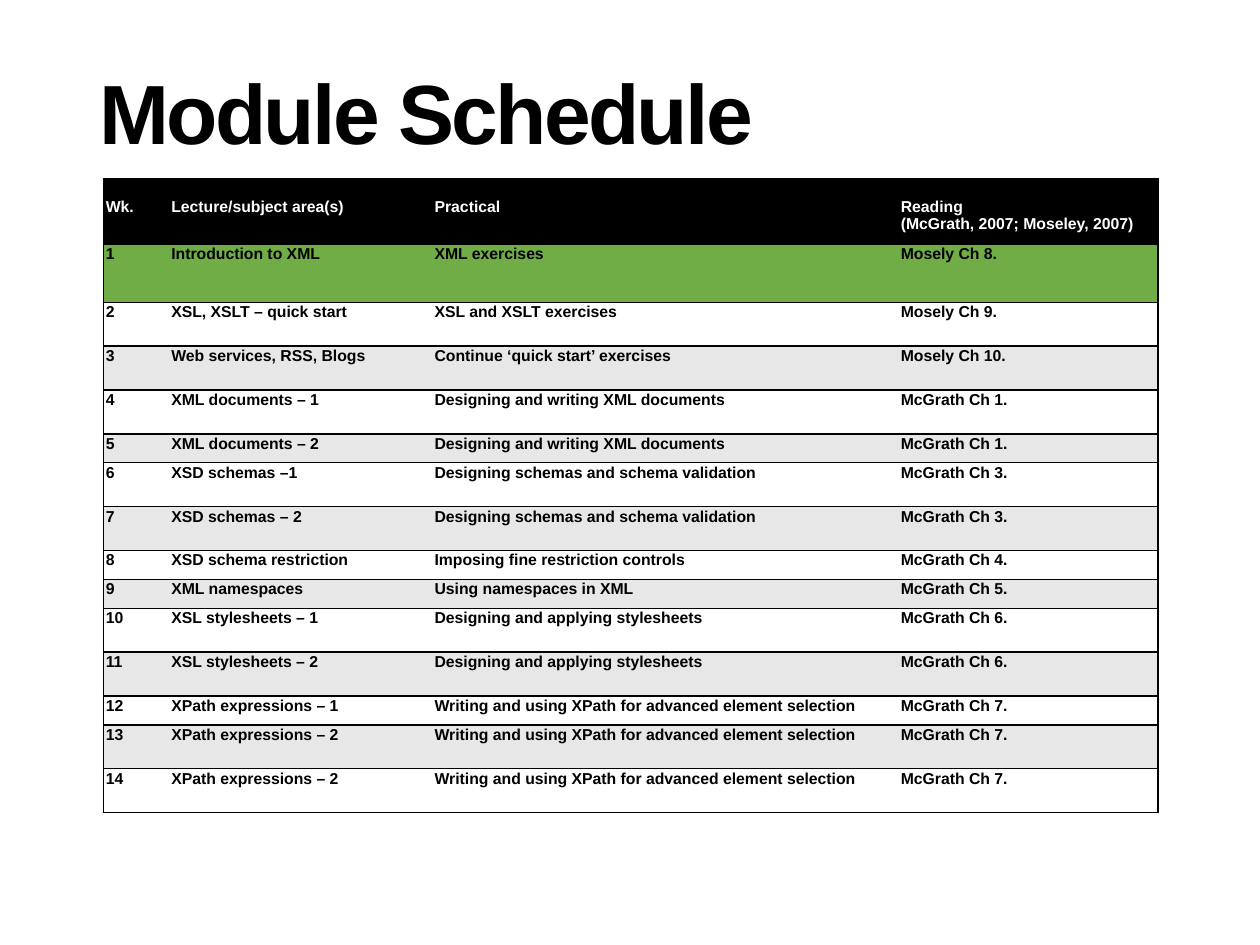
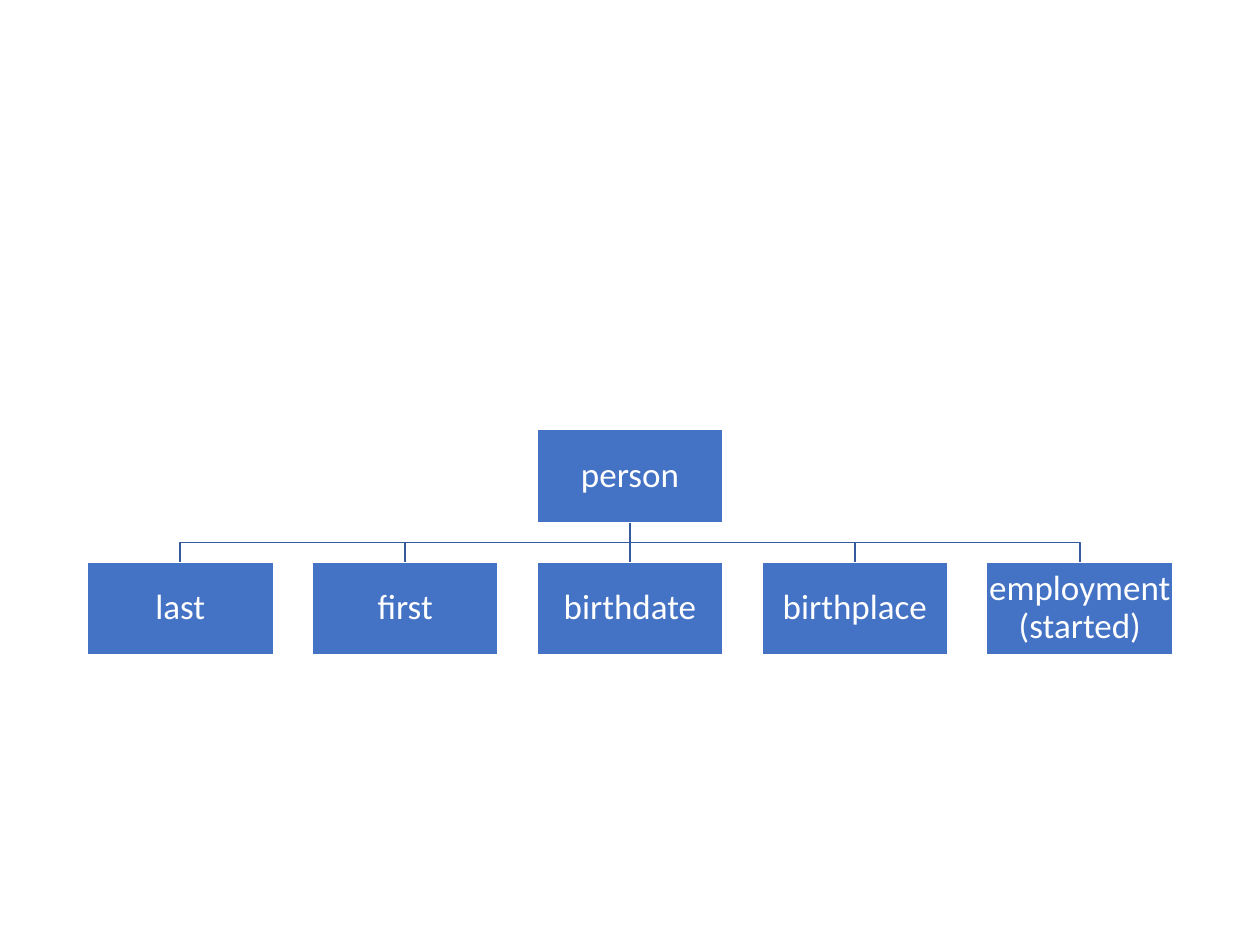
from lxml import etree
from pptx import Presentation, util as u
from pptx.dml.color import RGBColor
from pptx.enum import shapes, text
from pptx.oxml import ns

BLACK, WHITE, GREY = "000000", "FFFFFF", "E7E7E7"
GREEN, BLUE, NAVY = "70AD47", "4472C4", "365B9D"

HEAD = ("Wk.", "Lecture/subject area(s)", "Practical",
        "Reading\n(McGrath, 2007; Moseley, 2007)")
WEEKS = (
    ("Introduction to XML", "XML exercises", "Mosely Ch 8."),
    ("XSL, XSLT – quick start", "XSL and XSLT exercises", "Mosely Ch 9."),
    ("Web services, RSS, Blogs", "Continue ‘quick start’ exercises", "Mosely Ch 10."),
    ("XML documents – 1", "Designing and writing XML documents", "McGrath Ch 1."),
    ("XML documents – 2", "Designing and writing XML documents", "McGrath Ch 1."),
    ("XSD schemas –1", "Designing schemas and schema validation", "McGrath Ch 3."),
    ("XSD schemas – 2", "Designing schemas and schema validation", "McGrath Ch 3."),
    ("XSD schema restriction", "Imposing fine restriction controls", "McGrath Ch 4."),
    ("XML namespaces", "Using namespaces in XML", "McGrath Ch 5."),
    ("XSL stylesheets – 1", "Designing and applying stylesheets", "McGrath Ch 6."),
    ("XSL stylesheets – 2", "Designing and applying stylesheets", "McGrath Ch 6."),
    ("XPath expressions – 1", "Writing and using XPath for advanced element selection", "McGrath Ch 7."),
    ("XPath expressions – 2", "Writing and using XPath for advanced element selection", "McGrath Ch 7."),
    ("XPath expressions – 2", "Writing and using XPath for advanced element selection", "McGrath Ch 7."),
)
SHORT = (5, 8, 9, 12)
FIELDS = ("last", "first", "birthdate", "birthplace", "employment (started)")


def color(code):
    return RGBColor.from_string(code)


def inches(*sizes):
    return [u.Inches(size) for size in sizes]


class Deck:
    def __init__(self):
        self.prs = Presentation()
        self.prs.slide_width, self.prs.slide_height = inches(10, 7.5)
        self.slide = None

    def page(self):
        self.slide = self.prs.slides.add_slide(self.prs.slide_layouts[6])

    def style(self, frame, size, font, tint, bold=False, line=None, align=None):
        for para in frame.paragraphs:
            para.line_spacing, para.alignment = line, align
            for run in para.runs:
                run.font.size, run.font.name = u.Pt(size), font
                run.font.bold = bold
                run.font.color.rgb = color(tint)

    def inset(self, item, left, top, right, bottom):
        item.margin_left, item.margin_top = inches(left, top)
        item.margin_right, item.margin_bottom = inches(right, bottom)

    def title(self, words):
        frame = self.slide.shapes.add_textbox(*inches(0.69, 0.4, 8.62, 1.07)).text_frame
        frame.word_wrap = True
        frame.vertical_anchor = text.MSO_ANCHOR.MIDDLE
        frame.text = words
        self.style(frame, 48, "Arial", BLACK, True, 0.9)
        frame.paragraphs[0].runs[0].font._element.set("spc", "-150")

    def edges(self, cell, sides):
        """Rule the given sides (of L, R, T, B) and clear the others."""
        props = cell._tc.get_or_add_tcPr()
        for side in "LRTB":
            edge = etree.SubElement(props, ns.qn(f"a:ln{side}"), w=str(u.Pt(1)))
            if side in sides:
                fill = etree.SubElement(edge, ns.qn("a:solidFill"))
                etree.SubElement(fill, ns.qn("a:srgbClr"), val=BLACK)
            else:
                etree.SubElement(edge, ns.qn("a:noFill"))

    def table(self, rows, box, cols, highs, fills):
        grid = self.slide.shapes.add_table(len(rows), len(cols), *inches(*box)).table
        for col, wide in zip(grid.columns, cols):
            col.width = u.Inches(wide)
        for r, words in enumerate(rows):
            grid.rows[r].height = u.Inches(highs[r])
            for c, word in enumerate(words):
                cell = grid.cell(r, c)
                cell.text = word
                self.inset(cell, 0.02, 0.01 if r else 0.15, 0.02, 0)
                self.style(cell.text_frame, 9, "Arial", BLACK if r else WHITE, True)
                sides = "TB" + "L" * (c == 0) + "R" * (c == len(cols) - 1)
                self.edges(cell, sides)
                cell.fill.solid()
                cell.fill.fore_color.rgb = color(fills[r])

    def node(self, words, left, top, wide, high):
        box = self.slide.shapes.add_shape(
            shapes.MSO_SHAPE.RECTANGLE, *inches(left, top, wide, high))
        box.shadow.inherit = False
        box.fill.solid()
        box.fill.fore_color.rgb = color(BLUE)
        self.stroke(box, WHITE)
        frame = box.text_frame
        frame.word_wrap = True
        frame.vertical_anchor = text.MSO_ANCHOR.MIDDLE
        self.inset(frame, 0.01, 0.01, 0.01, 0.01)
        frame.text = words
        self.style(frame, 20, "Calibri", WHITE, line=0.9, align=text.PP_ALIGN.CENTER)
        return box

    def stroke(self, item, tint):
        item.line.color.rgb = color(tint)
        item.line.width = u.Pt(1)

    def link(self, top, low):
        """Join a parent's bottom to a child's top, with a bend if needed."""
        x, y = top.left + top.width // 2, top.top + top.height
        end = low.left + low.width // 2
        if abs(x - end) < u.Pt(1):
            line = self.slide.shapes.add_connector(
                shapes.MSO_CONNECTOR.STRAIGHT, x, y, end, low.top)
            line.begin_connect(top, 2)
            line.end_connect(low, 0)
            etree.SubElement(line._element.spPr, ns.qn("a:effectLst"))
        else:
            mid = (y + low.top) // 2
            path = self.slide.shapes.build_freeform(x, y)
            path.add_line_segments([(x, mid), (end, mid), (end, low.top)], close=False)
            line = path.convert_to_shape()
            line.fill.background()
            line.shadow.inherit = False
        self.stroke(line, NAVY)


def schedule(deck):
    deck.page()
    deck.title("Module Schedule")
    rows = [HEAD] + [(str(n), *week) for n, week in enumerate(WEEKS, 1)]
    high, head, first, low = 5.03, 0.52, 0.46, 0.23
    tall = (high - head - first - low * len(SHORT)) / (len(rows) - 2 - len(SHORT))
    highs = [head, first] + [low if r in SHORT else tall for r in range(2, len(rows))]
    fills = [BLACK, GREEN] + [GREY if r % 2 else WHITE for r in range(2, len(rows))]
    deck.table(rows, (0.82, 1.42, 8.36, high), (0.52, 2.09, 3.7, 2.06), highs, fills)


def tree(deck):
    deck.page()
    wide, high, mid = 1.48, 0.74, 5
    step = 7.14 / (len(FIELDS) - 1)
    start = mid - (7.14 + wide) / 2
    root = deck.node("person", mid - wide / 2, 3.41, wide, high)
    leaves = [deck.node(field, start + i * step, 4.46, wide, high)
              for i, field in enumerate(FIELDS)]
    for leaf in leaves:
        deck.link(root, leaf)


def main():
    deck = Deck()
    schedule(deck)
    tree(deck)
    deck.prs.save("out.pptx")


if __name__ == "__main__":
    main()
